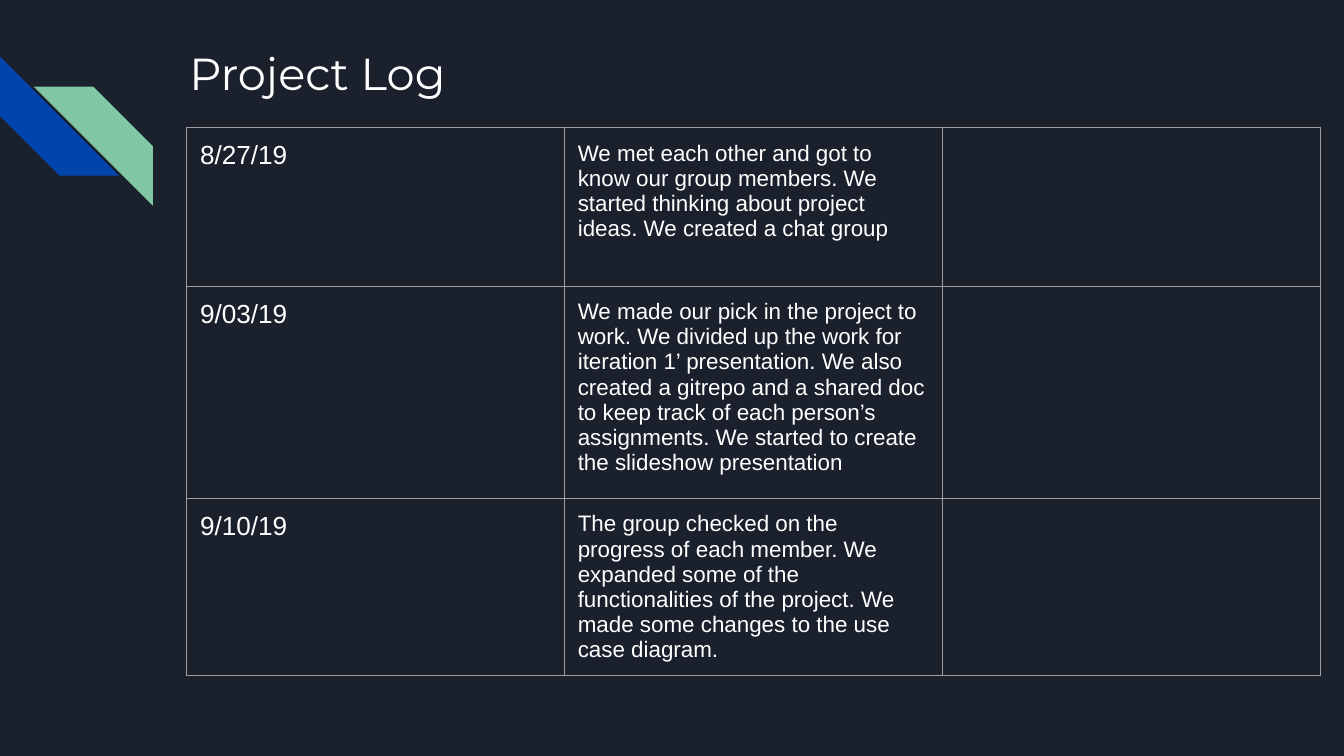
"""Build the project log slide: a title, two corner stripes and a dated table."""
from lxml.etree import SubElement
from pptx import Presentation
from pptx.dml.color import RGBColor
from pptx.enum.shapes import MSO_SHAPE as SHAPE
from pptx.enum.text import MSO_ANCHOR as ANCHOR, PP_ALIGN as ALIGN
from pptx.oxml.ns import qn
from pptx.util import Cm, Pt

NAVY = RGBColor(0x1B, 0x21, 0x2C)
BLUE = RGBColor(0x01, 0x45, 0xAC)
GREEN = RGBColor(0x82, 0xC7, 0xA5)
WHITE = RGBColor(0xFF, 0xFF, 0xFF)
GRAY = RGBColor(0x9E, 0x9E, 0x9E)

TITLE = "Project Log"
LOG = [
    ("8/27/19", "We met each other and got to know our group members. We started "
     "thinking about project ideas. We created a chat group", 3),
    ("9/03/19", "We made our pick in the project to work. We divided up the work for "
     "iteration 1’ presentation. We also created a gitrepo and a shared doc to keep "
     "track of each person’s assignments. We started to create the slideshow "
     "presentation", 4.01),
    ("9/10/19", "The group checked on the progress of each member. We expanded some "
     "of the functionalities of the project. We made some changes to the use case "
     "diagram.", 2.72),
]
STRIPES = [(0, 1.07, 270, BLUE), (0.64, 1.64, 90, GREEN)]
STRIPE_SIZE = Cm(2.25)
COL_W = Cm(7.14)
COLS = 3
INSET = Cm(0.25)


def set_insets(box):
    box.margin_left = box.margin_right = INSET
    box.margin_top = box.margin_bottom = INSET


def style(p, size, font):
    p.alignment = ALIGN.LEFT
    p.font.size = Pt(size)
    p.font.name = font
    p.font.bold = False
    p.font.color.rgb = WHITE


def add_borders(cell):
    props = cell._tc.get_or_add_tcPr()
    for side in ("lnL", "lnR", "lnT", "lnB"):
        line = SubElement(props, qn(f"a:{side}"), w=str(Pt(0.75)))
        fill = SubElement(line, qn("a:solidFill"))
        SubElement(fill, qn("a:srgbClr"), val=str(GRAY))


def add_stripes(s):
    for left, top, angle, color in STRIPES:
        sp = s.shapes.add_shape(SHAPE.DIAGONAL_STRIPE, Cm(left), Cm(top),
                                STRIPE_SIZE, STRIPE_SIZE)
        sp.rotation = angle
        sp.shadow.inherit = False
        sp.fill.solid()
        sp.fill.fore_color.rgb = color
        sp.line.fill.background()


def add_title(s):
    sp = s.shapes.title
    sp.left, sp.top, sp.width, sp.height = Cm(3.33), Cm(0.61), Cm(19.56), Cm(2.54)
    tf = sp.text_frame
    tf.text = TITLE
    tf.vertical_anchor = ANCHOR.TOP
    set_insets(tf)
    style(tf.paragraphs[0], 24, "Montserrat")


def add_log(s):
    height = Cm(sum(row_h for _, _, row_h in LOG))
    table = s.shapes.add_table(len(LOG), COLS, Cm(3.53), Cm(2.41),
                               COL_W * COLS, height).table
    table.first_row = table.horz_banding = False
    for col in table.columns:
        col.width = COL_W
    for row, (date, note, row_h) in zip(table.rows, LOG):
        row.height = Cm(row_h)
        for cell, text, size in zip(row.cells, (date, note, ""), (14, 12, 12)):
            add_borders(cell)
            cell.fill.background()
            set_insets(cell)
            cell.text = text
            style(cell.text_frame.paragraphs[0], size, "Arial")


def main():
    prs = Presentation()
    prs.slide_width, prs.slide_height = Cm(25.4), Cm(14.29)
    s = prs.slides.add_slide(prs.slide_layouts[5])
    s.background.fill.solid()
    s.background.fill.fore_color.rgb = NAVY
    add_stripes(s)
    add_title(s)
    add_log(s)
    prs.save("out.pptx")


if __name__ == "__main__":
    main()
